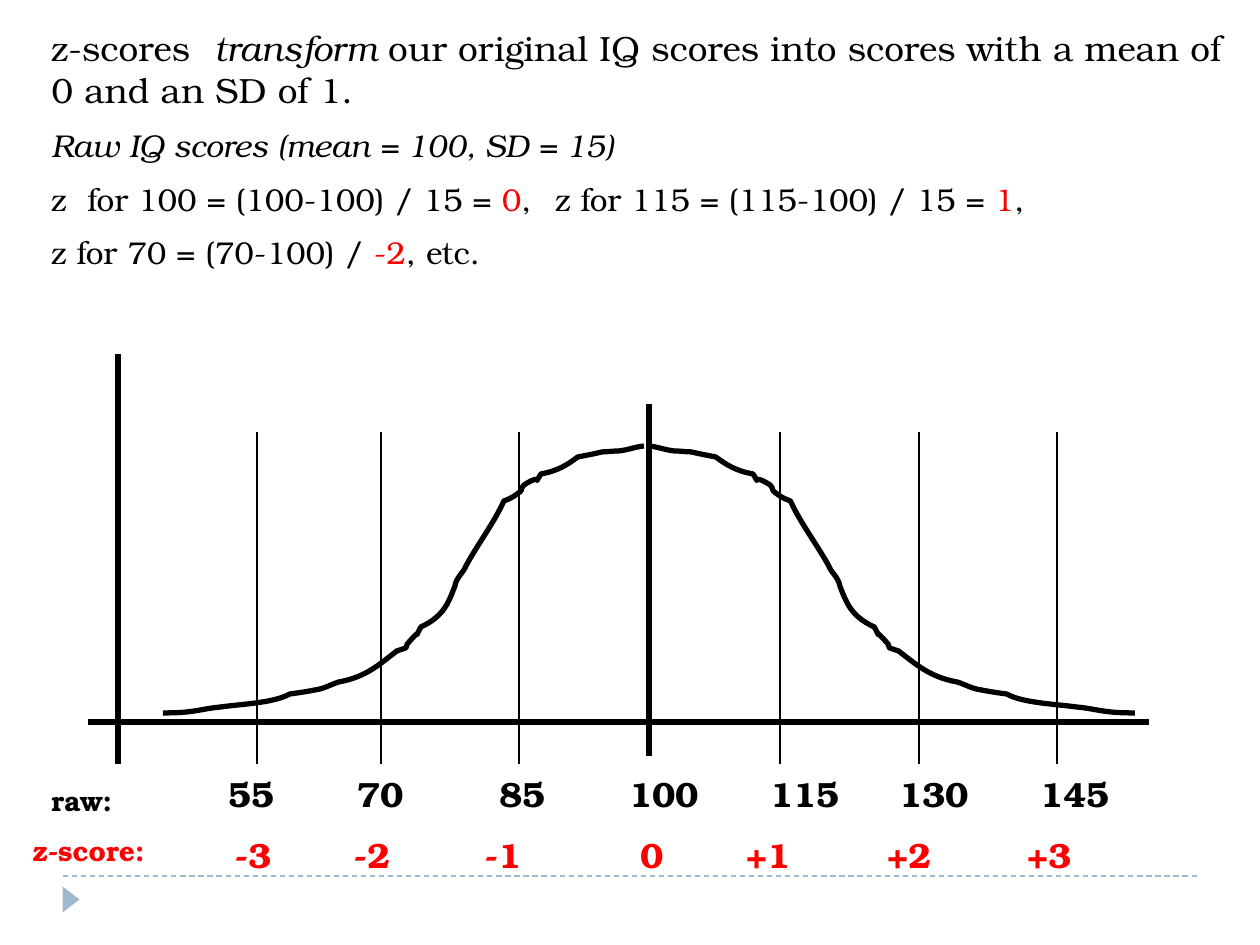
from itertools import chain

from lxml.etree import SubElement
from pptx import Presentation
from pptx.dml.color import RGBColor
from pptx.enum.dml import MSO_LINE
from pptx.enum.shapes import MSO_CONNECTOR, MSO_SHAPE
from pptx.oxml.ns import qn
from pptx.util import Inches, Pt

PX = Inches(1) / 126
FONT = "TeX Gyre Bonum"
BLACK = RGBColor(0x00, 0x00, 0x00)
RED = RGBColor(0xFF, 0x00, 0x00)
STEEL = RGBColor(0x9F, 0xB8, 0xCD)

# Half of the bell as Bezier triples: distance from the mean, depth below the peak
HALF_BELL = [
    [(9, 1), (16, 4), (25, 5)], [(30, 5), (37, 6), (42, 6)],
    [(50, 8), (66, 11), (66, 11)], [(77, 19), (86, 25), (103, 28)],
    [(113, 44), (98, 25), (120, 39)], [(122, 40), (122, 43), (123, 45)],
    [(129, 50), (132, 52), (140, 55)], [(150, 77), (166, 98), (178, 120)],
    [(180, 126), (188, 132), (189, 140)], [(195, 155), (199, 170), (223, 181)],
    [(233, 199), (219, 178), (234, 195)], [(237, 197), (237, 199), (238, 202)],
    [(241, 203), (244, 204), (247, 205)], [(263, 217), (277, 231), (305, 236)],
    [(312, 238), (320, 243), (329, 244)], [(338, 246), (354, 248), (354, 248)],
    [(370, 257), (401, 258), (423, 261)], [(435, 262), (446, 265), (457, 266)],
    [(465, 267), (481, 267), (481, 267)],
]


def px(n):
    return round(n * PX)


def add_line(s, x1, y1, x2, y2, color=BLACK, width=0.75, dash=None):
    line = s.shapes.add_connector(MSO_CONNECTOR.STRAIGHT, px(x1), px(y1), px(x2), px(y2))
    line.line.color.rgb = color
    line.line.width = Pt(width)
    if dash:
        line.line.dash_style = dash
    SubElement(line._element.spPr, qn("a:effectLst"))


def add_text_box(s, x, y, w, h):
    tf = s.shapes.add_textbox(px(x), px(y), px(w), px(h)).text_frame
    tf.word_wrap = True
    return tf


def add_tabs(p, stops, align):
    tabs = SubElement(p._p.get_or_add_pPr(), qn("a:tabLst"))
    for stop in stops:
        SubElement(tabs, qn("a:tab"), pos=str(px(stop)), algn=align)


def add_run(p, text, size=18, color=BLACK, bold=False, italic=False):
    r = p.add_run()
    r.text = text
    r.font.name = FONT
    r.font.size = Pt(size)
    r.font.color.rgb = color
    r.font.bold = bold
    r.font.italic = italic


def add_footer(s, x, y, w):
    add_line(s, x, y, x + w, y, STEEL, dash=MSO_LINE.DASH)
    sp = s.shapes.add_shape(MSO_SHAPE.ISOSCELES_TRIANGLE, px(x - 5), px(y + 15), px(26), px(17))
    sp.rotation = 90
    sp.shadow.inherit = False
    sp.fill.solid()
    sp.fill.fore_color.rgb = STEEL
    sp.line.fill.background()


def add_explanation(s, x, y, w, h):
    paragraphs = [
        ([163], [("z-scores\t", {"size": 20}), ("transform", {"size": 20, "italic": True}),
                 (" our original IQ scores into scores with a mean of 0 and an SD of 1.",
                  {"size": 20})]),
        ([], [("Raw IQ scores (mean = 100, SD = 15)", {"italic": True})]),
        ([36, 504], [("z\tfor 100 = (100-100) / 15 = ", {}), ("0", {"color": RED}),
                     (", \tz for 115 = (115-100) / 15 = ", {}), ("1", {"color": RED}),
                     (",", {})]),
        ([], [("z for 70 = (70-100) / ", {}), ("-2", {"color": RED}), (", etc.", {})]),
    ]
    tf = add_text_box(s, x, y, w, h)
    for i, (stops, runs) in enumerate(paragraphs):
        p = tf.add_paragraph() if i else tf.paragraphs[0]
        if i:
            p.space_before = Pt(9)
        if stops:
            add_tabs(p, stops, "l")
        for text, style in runs:
            add_run(p, text, **style)


def curve_segments(sp):
    """Turn each three straight segments of a freeform into one Bezier segment."""
    segments = list(sp._element.iter(qn("a:lnTo")))
    for first, *others in zip(segments[::3], segments[1::3], segments[2::3]):
        first.tag = qn("a:cubicBezTo")
        for segment in others:
            first.append(segment[0])
            segment.getparent().remove(segment)


def add_half_bell(s, x, y, stretch):
    """Draw half of the bell from its peak; a negative stretch runs to the left."""
    points = [(px(x + d * stretch), px(y + depth)) for d, depth in chain(*HALF_BELL)]
    builder = s.shapes.build_freeform(px(x), px(y), scale=1)
    # Segments are added singly because a Bezier may repeat a point
    builder.add_line_segments(points, close=False)
    sp = builder.convert_to_shape()
    curve_segments(sp)
    sp.shadow.inherit = False
    sp.fill.background()
    sp.line.color.rgb = BLACK
    sp.line.width = Pt(3)


def add_distribution(s, x, y, w, h):
    mean = x + 561
    add_line(s, x, y + 368, x + w, y + 368, width=3)
    add_half_bell(s, mean - 5, y + 92, -1)
    add_half_bell(s, mean, y + 92, 1.01)
    add_line(s, mean, y + 50, mean, y + 402, width=3)
    add_line(s, x + 30, y, x + 30, y + h, width=3)
    for dx in (169, 293, 431, 692, 831, 969):
        add_line(s, x + dx, y + 78, x + dx, y + h)


def add_scale_row(s, x, y, w, h, labels, centers, color):
    """Set one row of labels, each centred on a tab stop."""
    p = add_text_box(s, x, y, w, h).paragraphs[0]
    add_tabs(p, centers, "ctr")
    add_run(p, "".join("\t" + label for label in labels), size=20, color=color, bold=True)


def add_row_title(s, x, y, w, h, text, color):
    add_run(add_text_box(s, x, y, w, h).paragraphs[0], text, size=16, color=color, bold=True)


def main():
    prs = Presentation()
    prs.slide_width, prs.slide_height = Inches(10), Inches(7.5)
    s = prs.slides.add_slide(prs.slide_layouts[6])
    add_footer(s, 63, 876, 1134)
    add_distribution(s, 88, 354, 1061, 410)
    add_scale_row(s, 168, 766, 998, 55, ["55", "70", "85", "100", "115", "130", "145"],
                  [71, 200, 342, 484, 625, 754, 895], BLACK)
    add_explanation(s, 39, 20, 1201, 270)
    add_scale_row(s, 186, 827, 914, 55, ["-3", "-2", "-1", "0", "+1", "+2", "+3"],
                  [55, 174, 305, 454, 570, 711, 851], RED)
    add_row_title(s, 39, 777, 147, 47, "raw:", BLACK)
    add_row_title(s, 20, 827, 147, 47, "z-score:", RED)
    prs.save("out.pptx")


if __name__ == "__main__":
    main()
